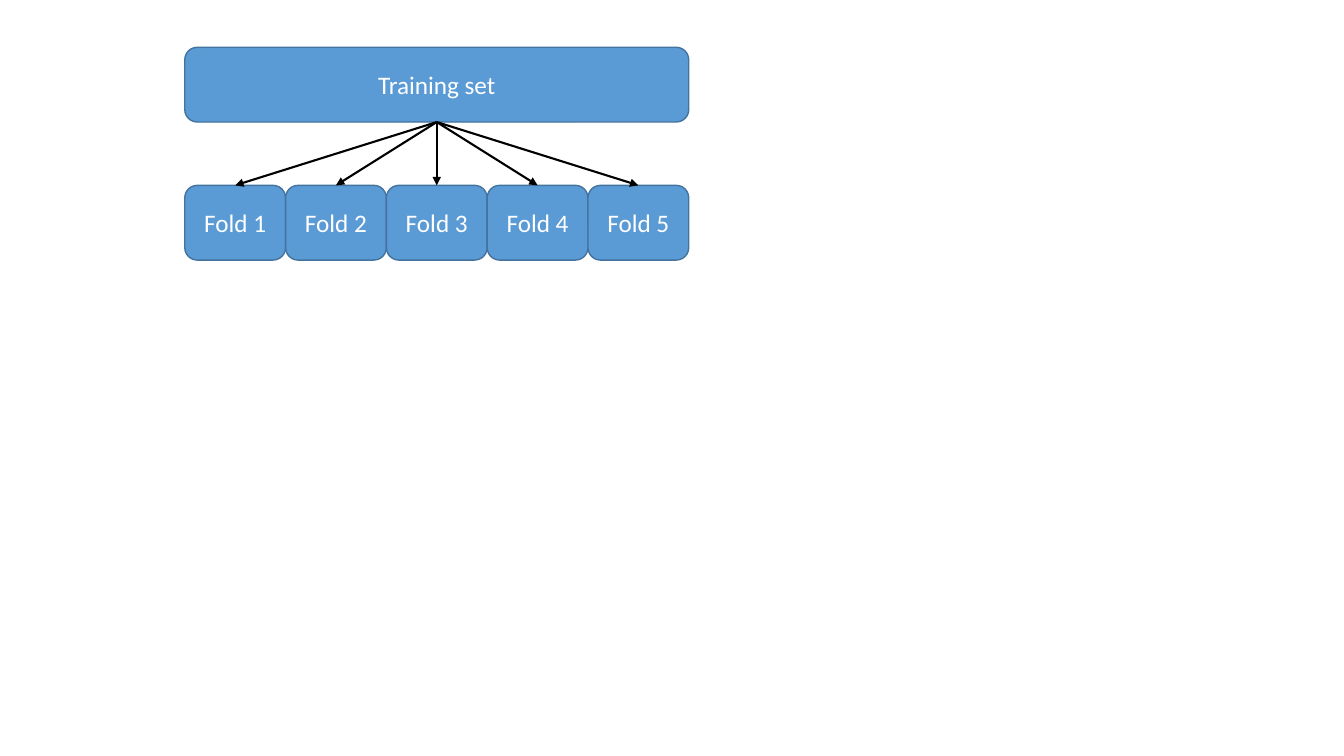
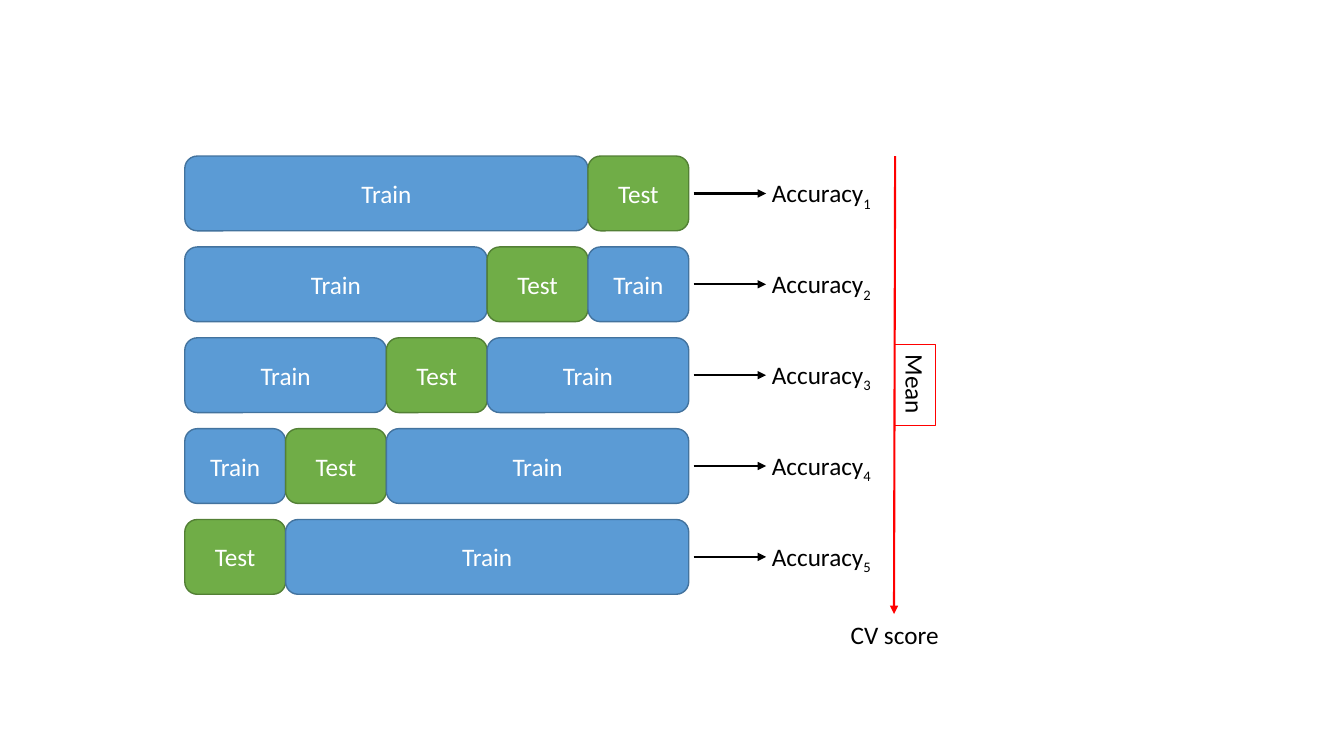
from pptx import Presentation
from pptx.dml.color import RGBColor
from pptx.enum.shapes import MSO_CONNECTOR, MSO_SHAPE
from pptx.enum.text import MSO_ANCHOR, MSO_AUTO_SIZE, PP_ALIGN
from pptx.oxml.ns import qn
from pptx.util import Pt
from lxml.etree import SubElement

COLORS = {
    "train": "5B9BD5", "train_line": "43739E",
    "test": "70AD47", "test_line": "538035",
    "white": "FFFFFF", "black": "000000", "red": "FF0000",
}
COLORS = {name: RGBColor.from_string(value) for name, value in COLORS.items()}
FONT = "Calibri"
FOLDS = 5
LEFT = 132
FOLD_WIDTH = 72
BLOCK_HEIGHT = 53.4
FULL_WIDTH = FOLDS * FOLD_WIDTH
CENTER = LEFT + FULL_WIDTH / 2


def add_block(page, text, kind, left, top, width):
    block = page.shapes.add_shape(
        MSO_SHAPE.ROUNDED_RECTANGLE, Pt(left), Pt(top), Pt(width), Pt(BLOCK_HEIGHT))
    block.shadow.inherit = False
    block.fill.solid()
    block.fill.fore_color.rgb = COLORS[kind]
    block.line.color.rgb = COLORS[kind + "_line"]
    block.line.width = Pt(1)
    block.text_frame.text = text
    block.text_frame.vertical_anchor = MSO_ANCHOR.MIDDLE
    para = block.text_frame.paragraphs[0]
    para.alignment = PP_ALIGN.CENTER
    font = para.runs[0].font
    font.name = FONT
    font.size = Pt(18)
    font.color.rgb = COLORS["white"]


def add_arrow(page, start, end, color):
    arrow = page.shapes.add_connector(
        MSO_CONNECTOR.STRAIGHT, Pt(start[0]), Pt(start[1]), Pt(end[0]), Pt(end[1]))
    arrow.line.color.rgb = COLORS[color]
    arrow.line.width = Pt(1.5)
    SubElement(arrow.line._get_or_add_ln(), qn("a:tailEnd"), type="triangle")
    SubElement(arrow._element.spPr, qn("a:effectLst"))


deck = Presentation()
deck.slide_width = Pt(960)
deck.slide_height = Pt(540)
blank = deck.slide_layouts[6]

split_page = deck.slides.add_slide(blank)
set_top = 33.8
fold_top = 132.4
for fold in range(FOLDS):
    add_block(split_page, f"Fold {fold + 1}", "train",
              LEFT + fold * FOLD_WIDTH, fold_top, FOLD_WIDTH)
add_block(split_page, "Training set", "train", LEFT, set_top, FULL_WIDTH)
for fold in range(FOLDS):
    add_arrow(split_page, (CENTER, set_top + BLOCK_HEIGHT),
              (LEFT + (fold + 0.5) * FOLD_WIDTH, fold_top), "black")

score_page = deck.slides.add_slide(blank)
first_top = 111.5
row_pitch = 64.9
captions = []
for row in range(FOLDS):
    top = first_top + row * row_pitch
    test_fold = FOLDS - 1 - row
    segments = [("Train", 0, test_fold), ("Test", test_fold, 1),
                ("Train", test_fold + 1, row)]
    for text, start, span in segments:
        if span:
            add_block(score_page, text, text.lower(),
                      LEFT + start * FOLD_WIDTH, top, span * FOLD_WIDTH)
    middle = top + BLOCK_HEIGHT / 2
    add_arrow(score_page, (495.4, middle), (547.2, middle), "black")
    captions.append(("Accuracy", str(row + 1), 544.3, top + 11.9, 86.4, 0))

add_arrow(score_page, (639.4, first_top), (638.6, 438.6), "red")
captions.append(("Mean", "", 625, 260.6, 57.6, 90))
captions.append(("CV score", "", 600.5, 438.6, 78.5, 0))

for text, subscript, left, top, width, rotation in captions:
    box = score_page.shapes.add_textbox(Pt(left), Pt(top), Pt(width), Pt(29.1))
    box.rotation = rotation
    if rotation:
        box.line.color.rgb = COLORS["red"]
        box.line.width = Pt(0.75)
    frame = box.text_frame
    frame.text = text
    frame.word_wrap = False
    frame.auto_size = MSO_AUTO_SIZE.SHAPE_TO_FIT_TEXT
    para = frame.paragraphs[0]
    if subscript:
        index_run = para.add_run()
        index_run.text = subscript
        index_run._r.get_or_add_rPr().set("baseline", "-25000")
    for run in para.runs:
        run.font.name = FONT
        run.font.size = Pt(18)
        run.font.color.rgb = COLORS["black"]

deck.save("out.pptx")
